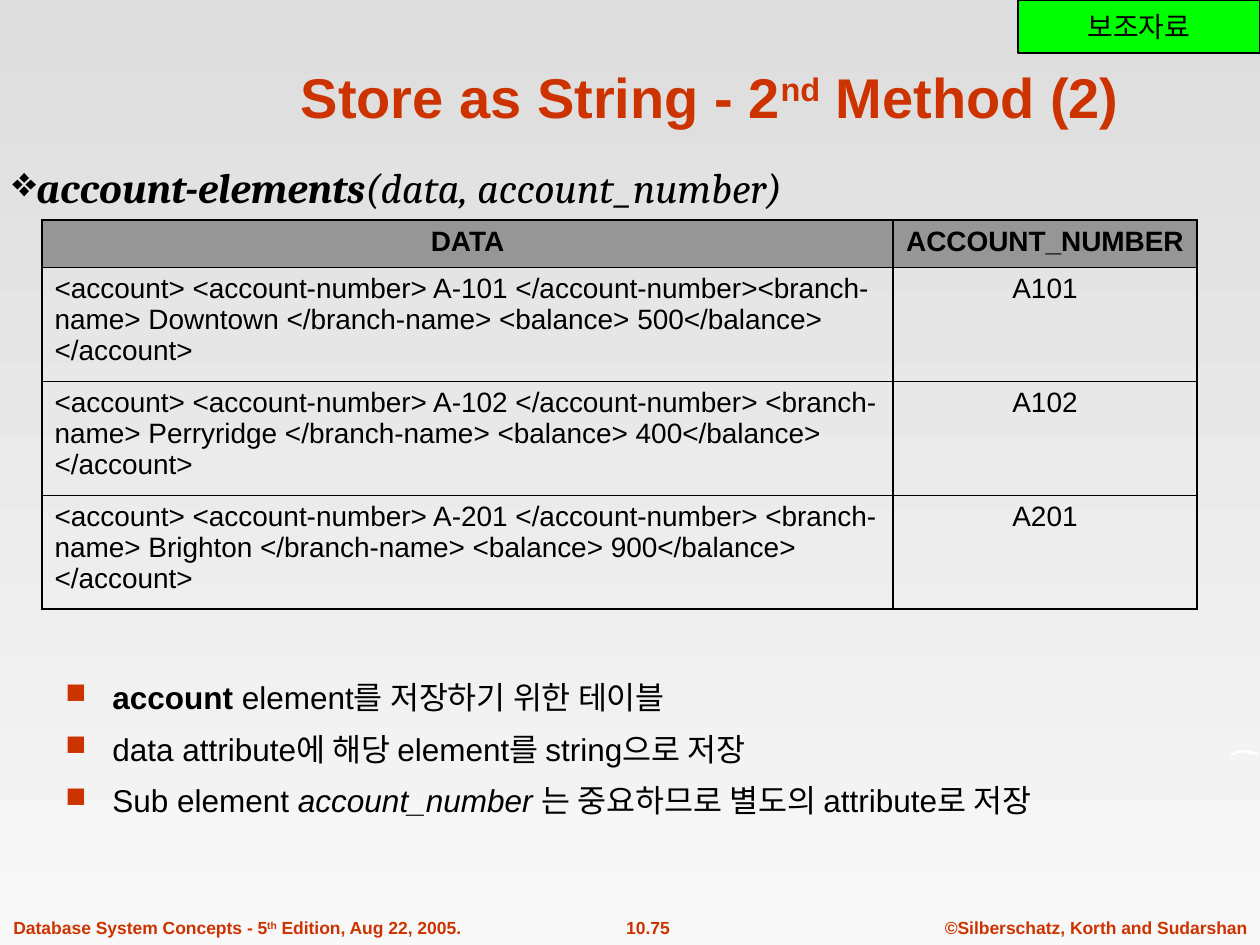
from lxml.etree import SubElement
from pptx import Presentation
from pptx.dml.color import RGBColor
from pptx.enum.shapes import MSO_SHAPE
from pptx.enum.text import MSO_ANCHOR, MSO_AUTO_SIZE, PP_ALIGN
from pptx.oxml import parse_xml
from pptx.oxml.ns import nsdecls, qn
from pptx.util import Pt

PX = 914400 / 126
RED = RGBColor(0xCC, 0x33, 0x00)
BLACK = RGBColor(0x00, 0x00, 0x00)
WHITE = RGBColor(0xFF, 0xFF, 0xFF)
GRAY = RGBColor(0x96, 0x96, 0x96)
GREEN = RGBColor(0x00, 0xFF, 0x00)
BG_TOP = RGBColor(0xDD, 0xDD, 0xDD)
BG_BOTTOM = RGBColor(0xF8, 0xF8, 0xF8)
LEFT, CENTER = PP_ALIGN.LEFT, PP_ALIGN.CENTER


def px(*lengths):
    return [round(n * PX) for n in lengths]


def write(p, *runs, size=16, color=BLACK, font="Arial", align=LEFT, bold=False,
          bullet=None, bullet_color=BLACK, bullet_size=100, indent=0, before=0):
    """Fill a paragraph; a run is text or (text, marks): b bold, i italic, ^ superscript."""
    pPr = p._p.get_or_add_pPr()
    if bullet:
        pPr.set("marL", str(px(indent)[0]))
        pPr.set("indent", str(px(-indent)[0]))
        clr = SubElement(pPr, qn("a:buClr"))
        SubElement(clr, qn("a:srgbClr"), val=str(bullet_color))
        SubElement(pPr, qn("a:buSzPct"), val=str(bullet_size * 1000))
        SubElement(pPr, qn("a:buChar"), char=bullet)
    p.alignment = align
    p.space_before = Pt(before)
    for run in runs:
        text, marks = run if isinstance(run, tuple) else (run, "")
        r = p.add_run()
        r.text = text
        r.font.name, r.font.size = font, Pt(size)
        r.font.bold = bold or "b" in marks
        r.font.italic = "i" in marks
        r.font.color.rgb = color
        if "^" in marks:
            r._r.get_or_add_rPr().set("baseline", "30000")


prs = Presentation()
prs.slide_width, prs.slide_height = px(1260, 945)
s = prs.slides.add_slide(prs.slide_layouts[5])

# Background
fill = s.background.fill
fill.gradient()
fill.gradient_angle = 270
for stop, color, position in zip(fill.gradient_stops, (BG_TOP, BG_BOTTOM), (0, 1)):
    stop.color.rgb, stop.position = color, position

# Footer
footers = [
    (1, 474, LEFT, ["Database System Concepts - 5", ("th", "^"), " Edition, Aug 22, 2005."]),
    (581, 134, CENTER, ["10.75"]),
    (932, 328, CENTER, ["©Silberschatz, Korth and Sudarshan"]),
]
for x, width, align, runs in footers:
    tf = s.shapes.add_textbox(*px(x, 911, width, 34)).text_frame
    tf.word_wrap = align == LEFT
    write(tf.paragraphs[0], *runs, size=10, color=RED, align=align, bold=True)

# White sliver at the right edge
sliver = [(1229, 757), (1232, 753), (1237, 751), (1243, 750), (1250, 751), (1260, 753),
          (1257, 755), (1250, 754), (1244, 752), (1235, 754)]
builder = s.shapes.build_freeform(*sliver[0], scale=PX)
builder.add_line_segments(sliver[1:], close=True)
sp = builder.convert_to_shape()
sp.shadow.inherit = False
sp.fill.solid()
sp.fill.fore_color.rgb = WHITE
sp.line.fill.background()

# Title
title = s.shapes.title
title.left, title.top, title.width, title.height = px(194, 18, 1032, 118)
tf = title.text_frame
tf.vertical_anchor = MSO_ANCHOR.BOTTOM
tf.auto_size = MSO_AUTO_SIZE.NONE
write(tf.paragraphs[0], "Store as String - 2", ("nd", "^"), " Method (2)",
      size=32, color=RED, align=CENTER, bold=True)

# Table
rows = [
    ("DATA", "ACCOUNT_NUMBER"),
    ("<account> <account-number> A-101 </account-number><branch-name> Downtown "
     "</branch-name> <balance> 500</balance> </account>", "A101"),
    ("<account> <account-number> A-102 </account-number> <branch-name> Perryridge "
     "</branch-name> <balance> 400</balance> </account>", "A102"),
    ("<account> <account-number> A-201 </account-number> <branch-name> Brighton "
     "</branch-name> <balance> 900</balance> </account>", "A201"),
]
table = s.shapes.add_table(len(rows), 2, *px(42, 220, 1155, 389)).table
table.first_row = table.horz_banding = False
for column, width in zip(table.columns, px(851, 304)):
    column.width = width
for row, height in zip(table.rows, px(47, 114, 114, 114)):
    row.height = height

THICK, THIN = Pt(1.08), Pt(0.45)
for i, row in enumerate(rows):
    for j, text in enumerate(row):
        cell = table.cell(i, j)
        if i == 0:
            cell.fill.solid()
            cell.fill.fore_color.rgb = GRAY
        else:
            cell.fill.background()
        write(cell.text_frame.paragraphs[0], text, bold=i == 0,
              align=LEFT if i and j == 0 else CENTER)
        borders = {"lnL": THICK, "lnR": THICK, "lnT": THIN if i else THICK,
                   "lnB": THICK if i == len(rows) - 1 else THIN}
        tcPr = cell._tc.get_or_add_tcPr()
        for k, (side, width) in enumerate(borders.items()):
            tcPr.insert(k, parse_xml(
                f'<a:{side} {nsdecls("a")} w="{width}"><a:solidFill>'
                f'<a:srgbClr val="{BLACK}"/></a:solidFill></a:{side}>'))

# Relation heading
tf = s.shapes.add_textbox(*px(0, 155, 905, 63)).text_frame
tf.word_wrap = True
write(tf.paragraphs[0], ("account-elements", "bi"), ("(data, account_number)", "i"),
      size=24, font="Cambria", bullet="❖")

# Notes below the table
bullets = [
    [("account", "b"), " element를 저장하기 위한 테이블"],
    ["data attribute에 해당 element를 string으로 저장"],
    ["Sub element ", ("account_number ", "i"), "는 중요하므로 별도의 attribute로 저장"],
]
tf = s.shapes.add_textbox(*px(53, 672, 1092, 199)).text_frame
tf.word_wrap = True
for i, runs in enumerate(bullets):
    p = tf.add_paragraph() if i else tf.paragraphs[0]
    write(p, *runs, size=18, bullet="■", bullet_color=RED, bullet_size=90,
          indent=47, before=7.9 if i else 0)

# Corner tag
tag = s.shapes.add_shape(MSO_SHAPE.RECTANGLE, *px(1018, 0, 242, 53))
tag.shadow.inherit = False
tag.fill.solid()
tag.fill.fore_color.rgb = GREEN
tag.line.color.rgb = BLACK
tag.line.width = Pt(0.75)
tag.text_frame.vertical_anchor = MSO_ANCHOR.MIDDLE
write(tag.text_frame.paragraphs[0], "보조자료", align=CENTER)

prs.save("out.pptx")
